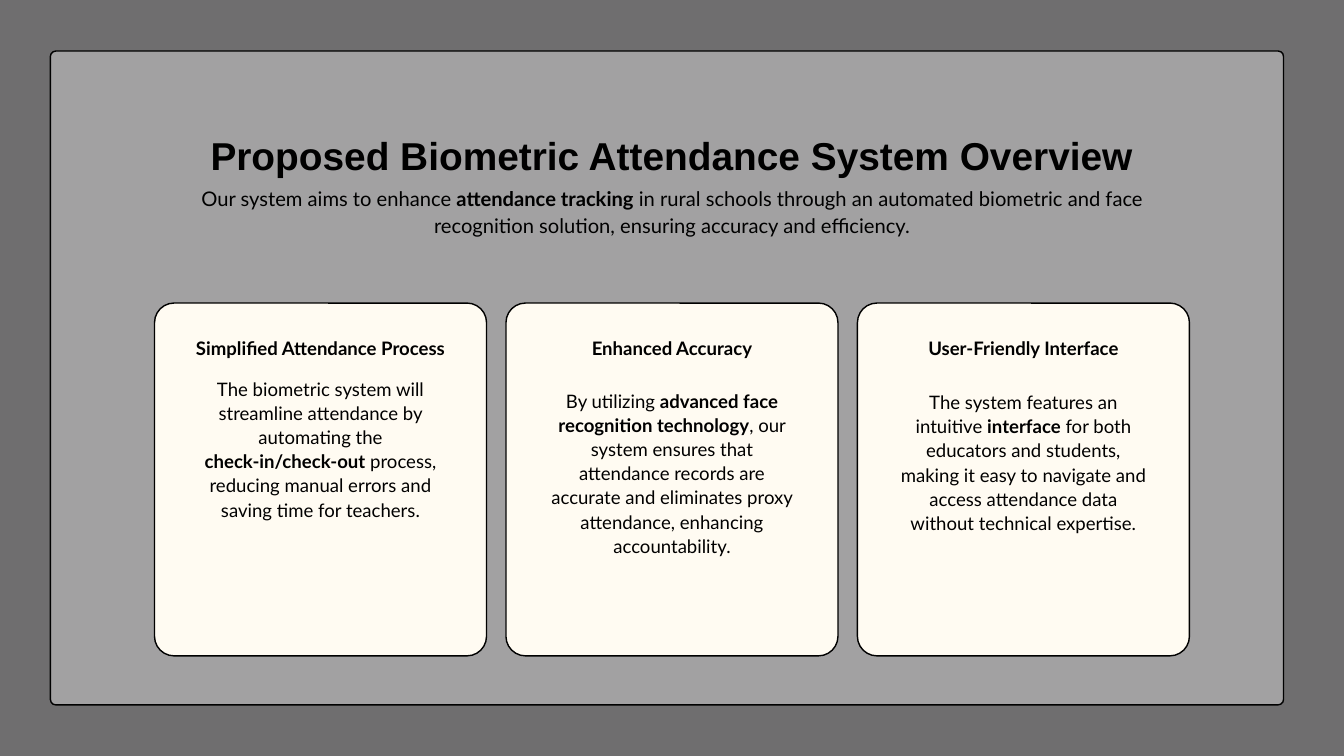
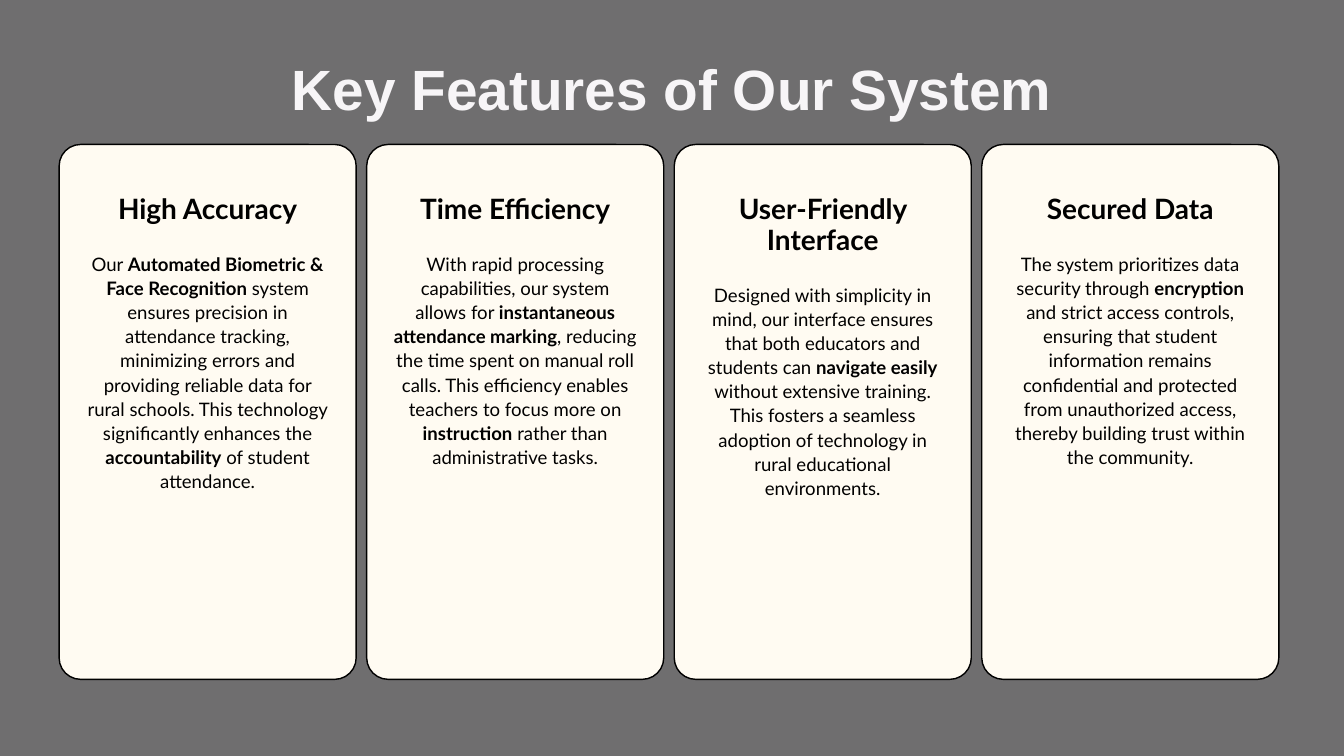
import pptx
import pptx.dml.color
import pptx.enum.shapes
import pptx.enum.text
import pptx.util

COLUMNS, ROWS = 20, 11.25
BACKDROP, PANEL, CARD, INK, PALE = "6F6E6F", "A2A1A2", "FFFBF2", "000000", "F7F5F7"
FORMATS = {
    "overview": ({"name": "Arial", "size": pptx.util.Pt(41.6)}, 45.7, INK),
    "features": ({"name": "Arial", "size": pptx.util.Pt(60.8)}, 73, PALE),
    "intro": ({"name": "Lato", "size": pptx.util.Pt(21.6)}, 28.1, INK),
    "heading": ({"name": "Lato", "size": pptx.util.Pt(19.9)}, 23.9, INK),
    "feature": ({"name": "Lato", "size": pptx.util.Pt(30)}, 33, INK),
    "body": ({"name": "Lato", "size": pptx.util.Pt(19.9)}, 25.9, INK),
}
ALL_BOLD = {"overview", "features", "heading", "feature"}
FRAME = {
    "margin_left": 0,
    "margin_right": 0,
    "margin_top": 0,
    "margin_bottom": 0,
    "word_wrap": True,
    "auto_size": pptx.enum.text.MSO_AUTO_SIZE.SHAPE_TO_FIT_TEXT,
}

BENEFITS = [
    ("Simplified Attendance Process", 4.3,
     "The biometric system will streamline attendance by automating the "
     "**check-in/check-out** process, reducing manual errors and saving time for teachers.",
     (5.59, 3.73, 2.12)),
    ("Enhanced Accuracy", 4.06,
     "By utilizing **advanced face recognition technology**, our system ensures that "
     "attendance records are accurate and eliminates proxy attendance, enhancing accountability.",
     (5.77, 3.65, 2.47)),
    ("User-Friendly Interface", 3.44,
     "The system features an intuitive **interface** for both educators and students, "
     "making it easy to navigate and access attendance data without technical expertise.",
     (5.79, 3.73, 2.47)),
]
FEATURES = [
    ("High Accuracy", 1,
     "Our **Automated Biometric & Face Recognition** system ensures precision in attendance "
     "tracking, minimizing errors and providing reliable data for rural schools. This technology "
     "significantly enhances the **accountability** of student attendance.", 3.89),
    ("Time Efficiency", 1,
     "With rapid processing capabilities, our system allows for **instantaneous attendance "
     "marking**, reducing the time spent on manual roll calls. This efficiency enables teachers "
     "to focus more on **instruction** rather than administrative tasks.", 3.54),
    ("User-Friendly Interface", 2,
     "Designed with simplicity in mind, our interface ensures that both educators and students "
     "can **navigate easily** without extensive training. This fosters a seamless adoption of "
     "technology in rural educational environments.", 3.18),
    ("Secured Data", 1,
     "The system prioritizes data security through **encryption** and strict access controls, "
     "ensuring that student information remains confidential and protected from unauthorized "
     "access, thereby building trust within the community.", 3.54),
]


def rgb(code):
    return pptx.dml.color.RGBColor.from_string(code)


def apply(target, values):
    for name, value in values.items():
        setattr(target, name, value)


class Deck:
    def __init__(self):
        self.presentation = pptx.Presentation()
        apply(self.presentation, {"slide_width": pptx.util.Inches(20),
                                  "slide_height": pptx.util.Inches(11.25)})
        self.slide = None

    def new_slide(self):
        self.slide = self.presentation.slides.add_slide(self.presentation.slide_layouts[6])
        backdrop = self.slide.background.fill
        backdrop.solid()
        backdrop.fore_color.rgb = rgb(BACKDROP)

    def place(self, left, top, width, height):
        column = self.presentation.slide_width / COLUMNS
        row = self.presentation.slide_height / ROWS
        return [round(length) for length in
                (left * column, top * row, width * column, height * row)]

    def panel(self, left, top, width, height, colour, radius):
        panel = self.slide.shapes.add_shape(
            pptx.enum.shapes.MSO_SHAPE.ROUNDED_RECTANGLE, *self.place(left, top, width, height))
        panel.adjustments[0] = radius / min(width, height)
        panel.shadow.inherit = False
        panel.fill.solid()
        panel.fill.fore_color.rgb = rgb(colour)
        panel.line.color.rgb = rgb(INK)
        panel.line.width = pptx.util.Pt(1.5)

    def cards(self, count, left, right, top, width, height, radius):
        pitch = (right - left - width) / (count - 1)
        lefts = [left + index * pitch for index in range(count)]
        for card_left in lefts:
            self.panel(card_left, top, width, height, CARD, radius)
        return [card_left + width / 2 for card_left in lefts]

    def text(self, wording, role, centre, top, width, height):
        font, spacing, colour = FORMATS[role]
        box = self.slide.shapes.add_textbox(*self.place(centre - width / 2, top, width, height))
        apply(box.text_frame, FRAME)
        paragraph = box.text_frame.paragraphs[0]
        apply(paragraph, {"alignment": pptx.enum.text.PP_ALIGN.CENTER,
                          "line_spacing": pptx.util.Pt(spacing)})
        for index, part in enumerate(wording.split("**")):
            run = paragraph.add_run()
            run.text = part
            apply(run.font, {**font, "bold": role in ALL_BOLD or index % 2 == 1})
            run.font.color.rgb = rgb(colour)


def build_overview(deck):
    deck.new_slide()
    deck.panel(0.75, 0.76, 18.35, 9.73, PANEL, 0.08)
    centres = deck.cards(len(BENEFITS), 2.3, 17.7, 4.51, 4.94, 5.25, 0.29)
    deck.text("Our system aims to enhance **attendance tracking** in rural schools through an "
              "automated biometric and face recognition solution, ensuring accuracy and efficiency.",
              "intro", COLUMNS / 2, 2.75, 14.18, 0.76)
    deck.text("Proposed Biometric Attendance System Overview",
              "overview", COLUMNS / 2, 2.02, 14.18, 0.65)
    for centre, (heading, heading_width, body, body_place) in zip(centres, BENEFITS):
        deck.text(heading, "heading", centre, 5.01, heading_width, 0.33)
        deck.text(body, "body", centre, *body_place)


def build_features(deck):
    deck.new_slide()
    deck.text("Key Features of Our System", "features", COLUMNS / 2, 0.8, 11.51, 1.01)
    centres = deck.cards(len(FEATURES), 0.88, 19.03, 2.15, 4.42, 7.96, 0.32)
    for centre, (heading, lines, body, body_height) in zip(centres, FEATURES):
        extra = (lines - 1) * 0.46
        deck.text(heading, "feature", centre, 2.89, 3.62, 0.49 + extra)
        deck.text(body, "body", centre, 3.73 + extra, 3.62, body_height)


def main():
    deck = Deck()
    build_overview(deck)
    build_features(deck)
    deck.presentation.save("out.pptx")


if __name__ == "__main__":
    main()
